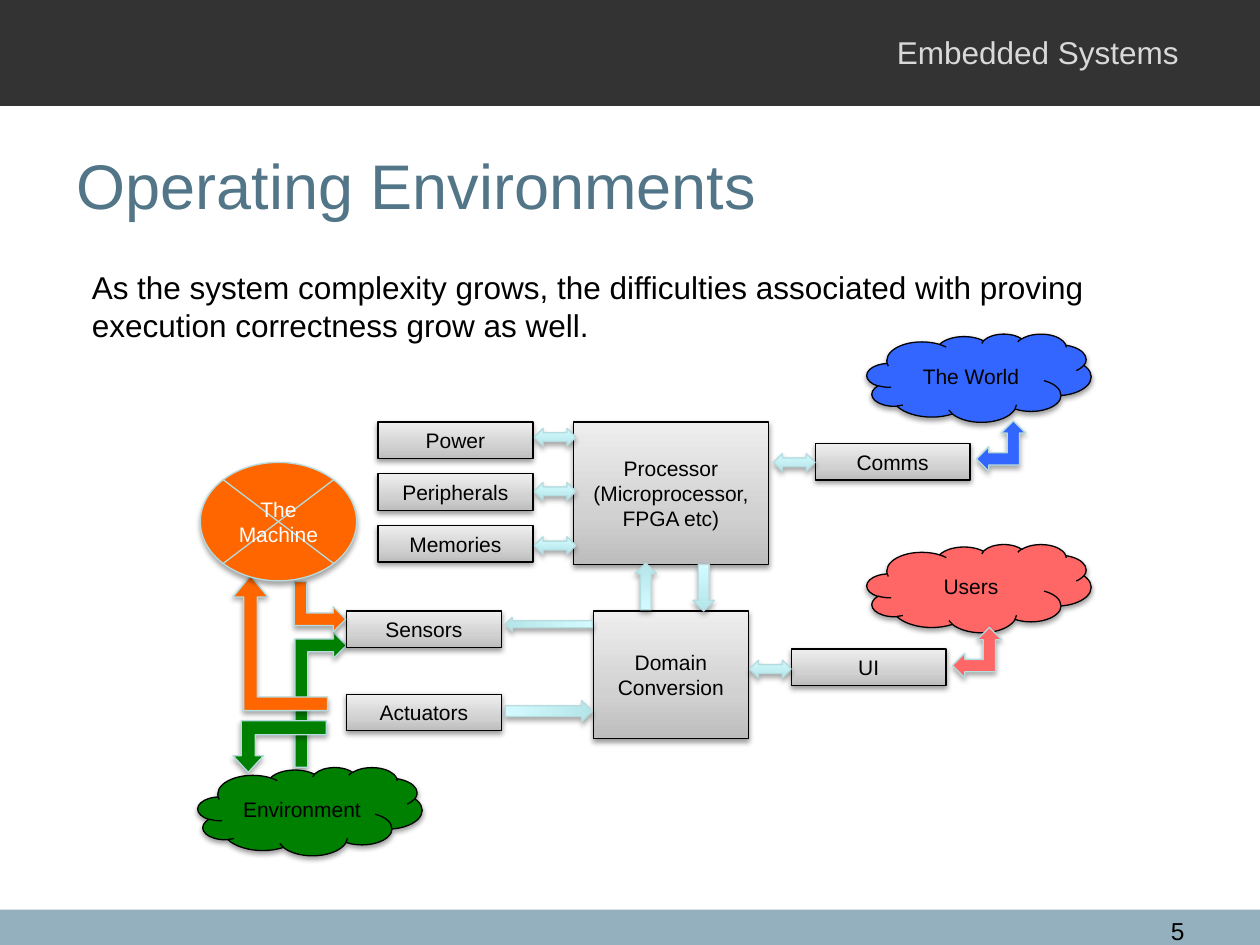
"""Build the Operating Environments slide of an embedded systems deck."""
import pptx
import pptx.dml.color
import pptx.enum.shapes
import pptx.enum.text
import pptx.oxml.ns
import pptx.util
from lxml import etree

Inches, Pt = pptx.util.Inches, pptx.util.Pt
qn = pptx.oxml.ns.qn
SHAPE = pptx.enum.shapes.MSO_SHAPE
ALIGN = pptx.enum.text.PP_ALIGN
ANCHOR = pptx.enum.text.MSO_ANCHOR

BLACK, EDGE = "000000", "B6DCDF"
GREEN, ORANGE, BLUE, RED = "008000", "FF6600", "3366FF", "FF6666"
GREY = [(0, "BDBDBD"), (35, "D1D1D1"), (100, "EEEEEE")]
AQUA = [(0, "B5E5E9"), (100, "D3FBFF")]


def rgb(value):
    """Turn a hex string into a colour."""
    return pptx.dml.color.RGBColor.from_string(value)


class Diagram:
    """Hold the style and the current slide."""

    font = "Arial"

    def __init__(self, s):
        """Keep the slide to draw on."""
        self.s = s

    def put_text(self, tf, text, size, color=BLACK, align=ALIGN.LEFT, anchor=ANCHOR.TOP):
        """Fill a text frame with formatted paragraphs."""
        tf.text = text
        tf.word_wrap = True
        tf.vertical_anchor = anchor
        fmt = {"name": self.font, "size": Pt(size)}
        for p in tf.paragraphs:
            p.alignment = align
            for r in p.runs:
                for key, value in fmt.items():
                    setattr(r.font, key, value)
                r.font.color.rgb = rgb(color)

    def paint(self, sp, fill):
        """Fill a shape with one colour or with an upward gradient."""
        if isinstance(fill, str):
            sp.fill.solid()
            sp.fill.fore_color.rgb = rgb(fill)
            return
        sp.fill.gradient()
        sp.fill.gradient_angle = 90
        stops = next(sp._element.spPr.iter(qn("a:gsLst")))
        for stop in list(stops):
            stops.remove(stop)
        for pos, color in fill:
            stop = etree.SubElement(stops, qn("a:gs"), pos=str(pos * 1000))
            etree.SubElement(stop, qn("a:srgbClr"), val=color)

    def shade(self, sp, alpha, dist):
        """Drop a soft shadow straight below a shape."""
        effects = sp._element.spPr.find(qn("a:effectLst"))
        shadow = etree.SubElement(
            effects, qn("a:outerShdw"), blurRad=str(Pt(3.1)), dist=str(Pt(dist)),
            dir="5400000", rotWithShape="0")
        color = etree.SubElement(shadow, qn("a:srgbClr"), val=BLACK)
        etree.SubElement(color, qn("a:alpha"), val=str(alpha * 1000))

    def shape(self, kind, at, fill, line=None):
        """Add a preset shape, outlined and shadowed if a line colour is given."""
        sp = self.s.shapes.add_shape(kind, *map(Inches, at))
        sp.shadow.inherit = False
        self.paint(sp, fill)
        if line is None:
            sp.line.fill.background()
        else:
            sp.line.color.rgb = rgb(line)
            sp.line.width = Pt(0.75)
            self.shade(sp, *((38, 1.6) if line == BLACK else (35, 1.8)))
        return sp

    def node(self, kind, at, fill, text, line=BLACK, color=BLACK):
        """Add a labelled shape."""
        sp = self.shape(kind, at, fill, line)
        self.put_text(sp.text_frame, text, 12, color, ALIGN.CENTER, ANCHOR.MIDDLE)

    def box(self, left, top, text, width=1.23, height=0.29):
        """Add a grey component box."""
        self.node(SHAPE.RECTANGLE, (left, top, width, height), GREY, text)

    def cloud(self, left, top, fill, text):
        """Add a cloud for something outside the system."""
        self.node(SHAPE.CLOUD, (left, top, 1.78, 0.7), fill, text)

    def arrow(self, kind, at, fill=AQUA, rot=0, flip="", adj=()):
        """Add a block arrow, turned and mirrored as asked."""
        sp = self.shape(kind, at, fill, EDGE)
        sp.rotation = rot
        for axis in flip:
            sp._element.spPr.find(qn("a:xfrm")).set("flip" + axis, "1")
        for i, value in enumerate(adj):
            sp.adjustments[i] = value

    def link(self, left, top):
        """Add a small two-way arrow."""
        self.arrow(SHAPE.LEFT_RIGHT_ARROW, (left, top, 0.33, 0.14))

    def label(self, at, text, size, color=BLACK, align=ALIGN.LEFT):
        """Add a text box."""
        tb = self.s.shapes.add_textbox(*map(Inches, at))
        self.put_text(tb.text_frame, text, size, color, align)

    def title(self, at, text, size, color):
        """Place and fill the title placeholder."""
        sp = self.s.shapes.title
        for key, value in zip(("left", "top", "width", "height"), at):
            setattr(sp, key, Inches(value))
        self.put_text(sp.text_frame, text, size, color, anchor=ANCHOR.MIDDLE)


def main():
    """Draw the slide and save it."""
    prs = pptx.Presentation()
    prs.slide_width, prs.slide_height = Inches(10), Inches(7.5)
    d = Diagram(prs.slides.add_slide(prs.slide_layouts[5]))

    d.shape(SHAPE.RECTANGLE, (0, 7.22, 10, 0.28), "94B0BE")
    d.shape(SHAPE.RECTANGLE, (0, 0, 10, 0.84), "333333")
    d.label((7.02, 0.21, 2.5, 0.4), "Embedded Systems", 18, "D9D9D9")
    d.title((0.51, 0.84, 9, 1.25), "Operating Environments", 36, "527688")

    bent, down = SHAPE.BENT_UP_ARROW, SHAPE.DOWN_ARROW
    d.arrow(bent, (2.01, 5.35, 1.07, 0.41), GREEN, 270, "V")
    d.arrow(bent, (1.85, 5.72, 0.74, 0.41), GREEN, 0, "HV", (0.272, 0.295, 0.322))

    d.box(4.55, 3.35, "Processor\n(Microprocessor, FPGA etc)", 1.55, 1.13)
    d.box(4.71, 4.85, "Domain Conversion", 1.23, 1.01)
    d.arrow(down, (5.5, 4.48, 0.17, 0.37))
    d.arrow(down, (5.04, 4.47, 0.17, 0.37), flip="V")

    for left, top, text in ((2.75, 4.85, "Sensors"), (6.28, 5.15, "UI"),
                            (2.75, 5.51, "Actuators"), (6.47, 3.52, "Comms")):
        d.box(left, top, text)
    d.arrow(down, (4.3, 4.61, 0.11, 0.69), rot=270, flip="V")
    d.arrow(down, (4.27, 5.3, 0.17, 0.69), rot=90, flip="HV")

    d.arrow(bent, (1.85, 4.57, 0.75, 1.07), ORANGE, 0, "H", (0.144, 0.184, 0.224))
    d.arrow(bent, (2.34, 4.61, 0.4, 0.41), ORANGE, 270, "HV")
    d.node(SHAPE.FLOWCHART_SUMMING_JUNCTION, (1.59, 3.67, 1.24, 0.94), ORANGE,
           "The Machine", EDGE, "FFFFFF")

    d.cloud(6.88, 4.32, RED, "Users")
    d.cloud(6.88, 2.65, BLUE, "The World")
    d.cloud(1.57, 6.09, GREEN, "Environment")
    d.arrow(SHAPE.LEFT_UP_ARROW, (7.56, 4.98, 0.39, 0.4), RED)
    d.arrow(SHAPE.LEFT_UP_ARROW, (7.75, 3.34, 0.39, 0.4), BLUE)

    for i, text in enumerate(("Power", "Peripherals", "Memories")):
        d.box(3, 3.35 + 0.41 * i, text)
        d.link(4.24, 3.4 + 0.43 * i)
    d.link(5.95, 5.24)
    d.link(6.14, 3.6)

    d.label((8.86, 7.22, 0.64, 0.24), "5", 14, align=ALIGN.RIGHT)
    d.label((0.63, 2.08, 8.38, 0.71),
            "As the system complexity grows, the difficulties associated with "
            "proving execution correctness grow as well.", 18)
    prs.save("out.pptx")


if __name__ == "__main__":
    main()
